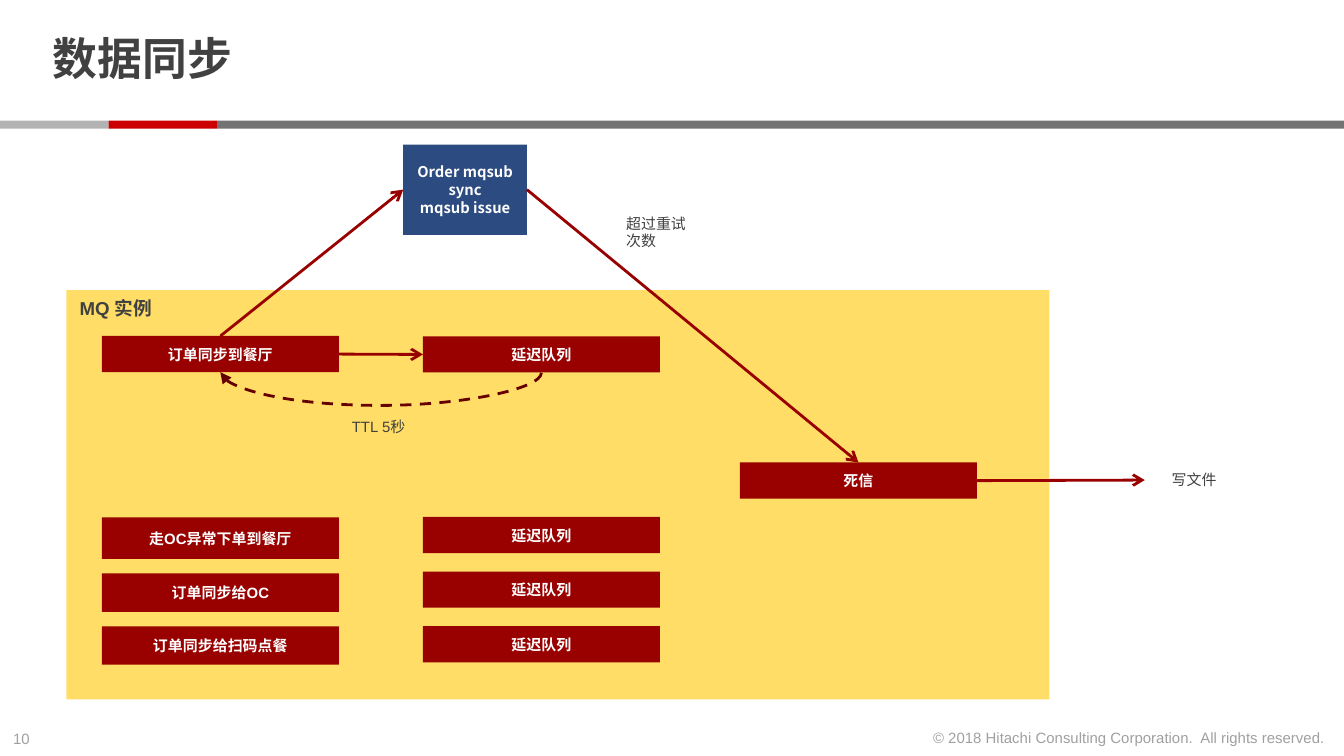
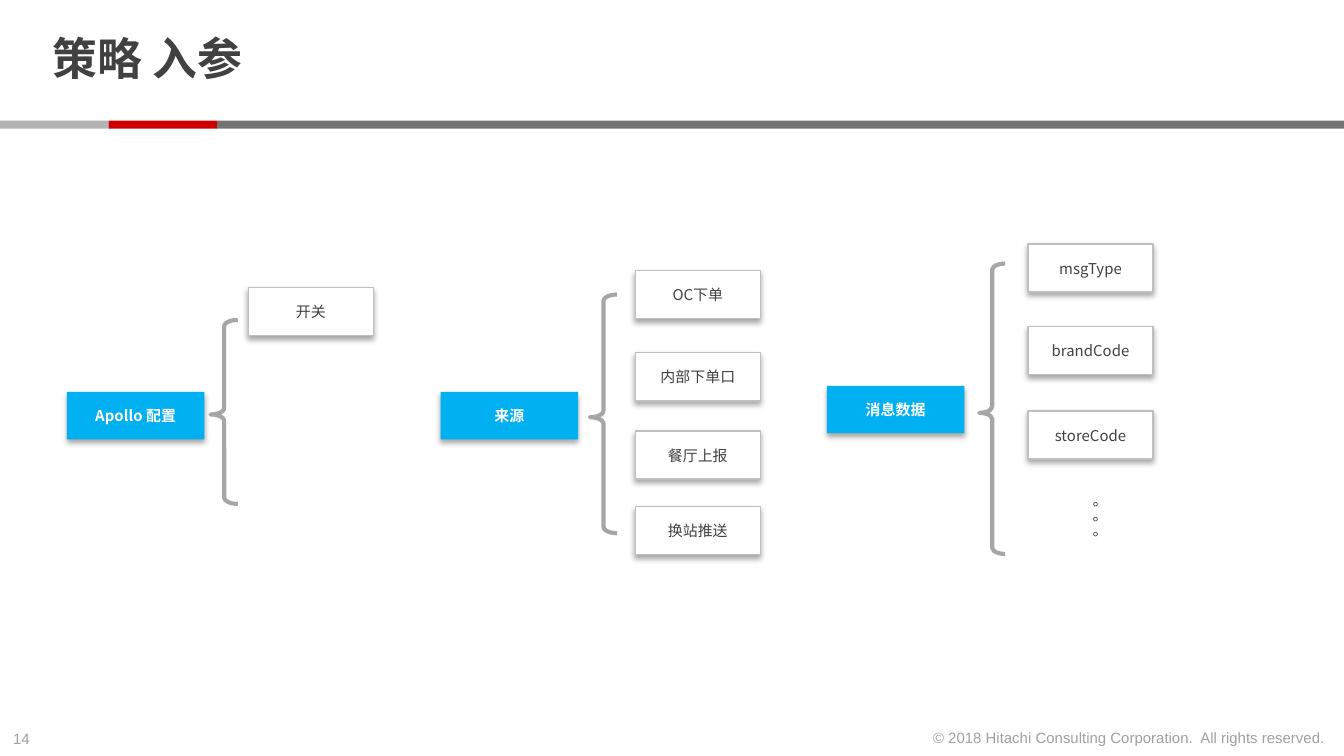
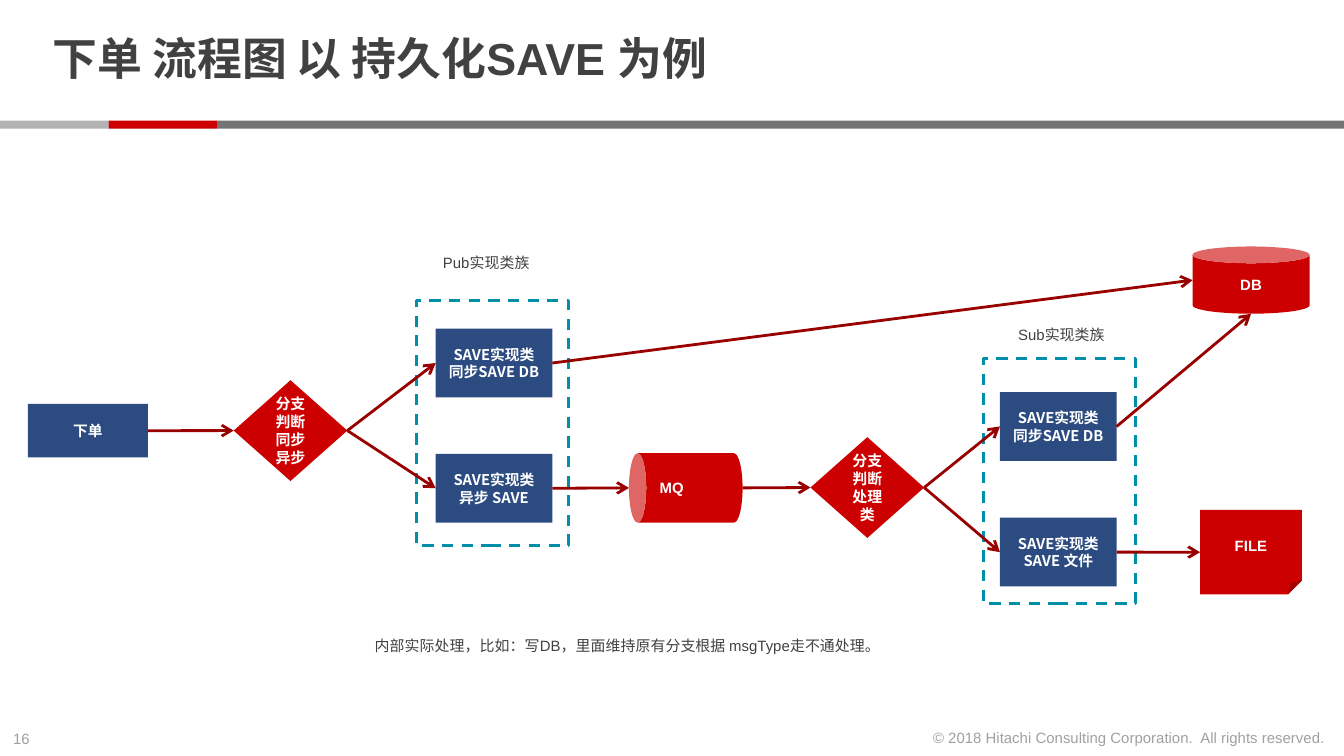
import dataclasses
import typing

import lxml.etree
import pptx
import pptx.dml.color
import pptx.enum.dml
import pptx.enum.shapes
import pptx.enum.text
import pptx.oxml.ns
import pptx.presentation
import pptx.shapes.autoshape
import pptx.shapes.connector
import pptx.slide
import pptx.text.text
import pptx.util

Pt = pptx.util.Pt
qn = pptx.oxml.ns.qn
KIND = pptx.enum.shapes.MSO_SHAPE
LINK = pptx.enum.shapes.MSO_CONNECTOR
ALIGN = pptx.enum.text.PP_ALIGN
ANCHOR = pptx.enum.text.MSO_ANCHOR
FIT = pptx.enum.text.MSO_AUTO_SIZE
DASH = pptx.enum.dml.MSO_LINE.DASH

COLORS = {
    "text": "414141",
    "faded": "A0A0A0",
    "white": "FFFFFF",
    "light gray": "B3B3B3",
    "red": "CC0000",
    "dark gray": "737373",
    "yellow": "FFDD66",
    "dark red": "990000",
    "deep red": "660000",
    "navy": "2C4B80",
    "sky": "00B0F0",
    "border": "BFBFBF",
    "brace": "A6A6A6",
    "teal": "008EAA",
}
ARIAL = "Arial"
NOTO = "Noto Sans CJK SC"
COPYRIGHT = "© 2018 Hitachi Consulting Corporation.  All rights reserved."
TOP, LEFT, BOTTOM, RIGHT = range(4)


@dataclasses.dataclass(frozen=True)
class TextStyle:
    color: str = "text"
    size: float = 8
    bold: bool = False
    font: str = ARIAL
    align: ALIGN = ALIGN.LEFT
    anchor: ANCHOR = ANCHOR.MIDDLE


@dataclasses.dataclass(frozen=True)
class BoxStyle:
    fill: str | None = None
    line: str | None = None
    weight: float = 1.5
    dashed: bool = False
    shadow: bool = False
    text: TextStyle = TextStyle()


class Frame(typing.NamedTuple):
    left: float
    top: float
    width: float
    height: float


class Point(typing.NamedTuple):
    x: float
    y: float


class Port(typing.NamedTuple):
    shape: pptx.shapes.autoshape.Shape
    side: int


class Entry(typing.NamedTuple):
    text: str
    top: float


@dataclasses.dataclass(frozen=True)
class BraceGroup:
    root: str
    corner: Point
    brace: Frame
    entry_left: float
    entries: list[Entry]


LABEL = TextStyle()
FOOTER = TextStyle("faded", anchor=ANCHOR.TOP)
COPYRIGHT_TEXT = dataclasses.replace(FOOTER, align=ALIGN.RIGHT)
TITLE = TextStyle(size=24, bold=True)
WHITE_ARIAL = TextStyle("white", bold=True, align=ALIGN.CENTER)
WHITE_NOTO = dataclasses.replace(WHITE_ARIAL, font=NOTO)

QUEUE = BoxStyle("dark red", text=WHITE_ARIAL)
SERVICE = BoxStyle("navy", text=dataclasses.replace(WHITE_NOTO, size=7.9))
NODE = BoxStyle("red", text=WHITE_ARIAL)
MQ_AREA = BoxStyle("yellow", text=TextStyle(size=10, bold=True, anchor=ANCHOR.TOP))
ROOT = BoxStyle("sky", shadow=True, text=WHITE_NOTO)
ENTRY = BoxStyle("white", "border", 0.75, shadow=True,
                 text=TextStyle(font=NOTO, align=ALIGN.CENTER))
BRACE = BoxStyle(line="brace", weight=2.25)
FAMILY = BoxStyle(line="teal", dashed=True)


def rgb(name: str) -> pptx.dml.color.RGBColor:
    return pptx.dml.color.RGBColor.from_string(COLORS[name])


def points(values: typing.Iterable[float]) -> list[pptx.util.Length]:
    return [Pt(value) for value in values]


def write(frame: pptx.text.text.TextFrame, text: str, style: TextStyle) -> None:
    frame.vertical_anchor = style.anchor
    for index, line in enumerate(text.split("\n")):
        paragraph = frame.add_paragraph() if index else frame.paragraphs[0]
        paragraph.alignment = style.align
        run = paragraph.add_run()
        run.text = line
        font = run.font
        font.name = style.font
        font.size = Pt(style.size)
        font.bold = style.bold
        font.color.rgb = rgb(style.color)
        east_asian = lxml.etree.SubElement(run.font._element, qn("a:ea"))
        east_asian.set("typeface", NOTO)


def make_vertical(frame: pptx.text.text.TextFrame) -> None:
    frame._txBody.bodyPr.set("vert", "eaVert")


def add_label(slide: pptx.slide.Slide, frame: Frame, text: str,
              style: TextStyle = LABEL, wrap: bool = True) -> pptx.text.text.TextFrame:
    body = slide.shapes.add_textbox(*points(frame)).text_frame
    body.word_wrap = wrap
    body.auto_size = FIT.SHAPE_TO_FIT_TEXT
    write(body, text, style)
    return body


def add_shadow(shape: pptx.shapes.autoshape.Shape) -> None:
    effects = shape.element.spPr.find(qn("a:effectLst"))
    shadow = lxml.etree.SubElement(effects, qn("a:outerShdw"), {
        "blurRad": str(Pt(3.1)), "dist": str(Pt(1.8)), "dir": "5400000",
        "algn": "t", "rotWithShape": "0"})
    color = lxml.etree.SubElement(shadow, qn("a:srgbClr"), {"val": "000000"})
    lxml.etree.SubElement(color, qn("a:alpha"), {"val": "35000"})


def add_box(slide: pptx.slide.Slide, frame: Frame, style: BoxStyle,
            text: str = "", kind: KIND = KIND.RECTANGLE) -> pptx.shapes.autoshape.Shape:
    shape = slide.shapes.add_shape(kind, *points(frame))
    shape.shadow.inherit = False
    if style.shadow:
        add_shadow(shape)
    if style.fill:
        shape.fill.solid()
        shape.fill.fore_color.rgb = rgb(style.fill)
    else:
        shape.fill.background()
    if style.line:
        shape.line.color.rgb = rgb(style.line)
        shape.line.width = Pt(style.weight)
        if style.dashed:
            shape.line.dash_style = DASH
    else:
        shape.line.fill.background()
    if text:
        shape.text_frame.word_wrap = True
        write(shape.text_frame, text, style.text)
    return shape


def format_connector(connector: pptx.shapes.connector.Connector, color: str,
                     head: str, dashed: bool = False) -> None:
    connector.line.color.rgb = rgb(color)
    connector.line.width = Pt(1.5)
    if dashed:
        connector.line.dash_style = DASH
    lxml.etree.SubElement(connector.get_or_add_ln(), qn("a:tailEnd"), {"type": head})
    lxml.etree.SubElement(connector.element.spPr, qn("a:effectLst"))


def add_arrow(slide: pptx.slide.Slide, start: Port | Point, end: Port | Point) -> None:
    begin = start if isinstance(start, Point) else Point(0, 0)
    finish = end if isinstance(end, Point) else Point(0, 0)
    connector = slide.shapes.add_connector(LINK.STRAIGHT, *points(begin + finish))
    if isinstance(start, Port):
        connector.begin_connect(start.shape, start.side)
    if isinstance(end, Port):
        connector.end_connect(end.shape, end.side)
    format_connector(connector, "dark red", "arrow")


def add_return_curve(slide: pptx.slide.Slide, start: Point, end: Point, sag: float) -> None:
    middle = (start.x + end.x) / 2
    half = (start.x - end.x) / 2
    thickness = 0.32
    connector = slide.shapes.add_connector(LINK.CURVE, *points(
        (middle + thickness / 2, start.y - half, middle - thickness / 2, start.y + half)))
    properties = connector.element.spPr
    properties.xfrm.set("rot", "5400000")
    guides = properties.find(qn("a:prstGeom")).get_or_add_avLst()
    lxml.etree.SubElement(guides, qn("a:gd"), {
        "name": "adj1", "fmla": f"val {round(-sag / thickness * 100000)}"})
    format_connector(connector, "deep red", "triangle", dashed=True)


def add_slide(deck: pptx.presentation.Presentation, title: str, number: int) -> pptx.slide.Slide:
    slide = deck.slides.add_slide(deck.slide_layouts[5])
    heading = slide.shapes.title
    heading.left, heading.top, heading.width, heading.height = points((21, 4.4, 555, 57.6))
    body = heading.text_frame
    body.word_wrap = True
    body.auto_size = FIT.NONE
    body.margin_left = body.margin_right = Pt(7.2)
    body.margin_top = body.margin_bottom = 0
    write(body, title, TITLE)
    body.paragraphs[0].line_spacing = 0.85

    left = 0.0
    for color, width in (("light gray", 58.2), ("red", 58.2), ("dark gray", 603.6)):
        add_box(slide, Frame(left, 64.6, width, 4.3), BoxStyle(color))
        left += width
    add_label(slide, Frame(0, 387.2, 24.5, 17.3), str(number), FOOTER, wrap=False)
    add_label(slide, Frame(489.6, 387, 227.5, 17.3), COPYRIGHT, COPYRIGHT_TEXT, wrap=False)
    return slide


def build_sync(deck: pptx.presentation.Presentation) -> None:
    slide = add_slide(deck, "数据同步", 10)
    add_box(slide, Frame(35.6, 155.4, 526.6, 219.4), MQ_AREA, "MQ 实例")

    width, height = 127, 19.4
    order_left, delay_left = 54.6, 226.6
    order = add_box(slide, Frame(order_left, 180, width, height), QUEUE, "订单同步到餐厅")
    delay = add_box(slide, Frame(delay_left, 180.2, width, height), QUEUE, "延迟队列")
    dead = add_box(slide, Frame(396.4, 247.8, width, height), QUEUE, "死信")
    others = (("走OC异常下单到餐厅", 277.2, 22.2),
              ("订单同步给OC", 307.2, 20.6),
              ("订单同步给扫码点餐", 335.5, 20.6))
    for row, (text, top, tall) in enumerate(others):
        add_box(slide, Frame(order_left, top, width, tall), QUEUE, text)
        add_box(slide, Frame(delay_left, 277 + 29.25 * row, width, height), QUEUE, "延迟队列")

    subscriber = add_box(slide, Frame(216, 77.4, 66.3, 48.4), SERVICE,
                         "Order mqsub sync\nmqsub issue")
    add_arrow(slide, Port(order, TOP), Port(subscriber, LEFT))
    add_arrow(slide, Port(order, RIGHT), Port(delay, LEFT))
    add_arrow(slide, Port(subscriber, RIGHT), Port(dead, TOP))
    add_arrow(slide, Port(dead, RIGHT), Point(613.3, 257.2))
    add_return_curve(slide, Point(delay_left + width / 2, 199.5),
                     Point(order_left + width / 2, 199.5), 18)

    add_label(slide, Frame(181.4, 220, 51.1, 17.3), "TTL 5秒")
    add_label(slide, Frame(328.3, 111, 51.1, 26.6), "超过重试次数")
    add_label(slide, Frame(620.6, 248.4, 43.9, 17.3), "写文件")


def build_parameters(deck: pptx.presentation.Presentation) -> None:
    slide = add_slide(deck, "策略 入参", 14)
    groups = [
        BraceGroup("Apollo 配置", Point(35.9, 210), Frame(112.8, 171.4, 14.6, 98.6), 133,
                   [Entry("开关", 154)]),
        BraceGroup("来源", Point(236.1, 210), Frame(316, 157.8, 14.6, 127.9), 340.3,
                   [Entry("OC下单", 144.8), Entry("内部下单口", 189),
                    Entry("餐厅上报", 230.9), Entry("换站推送", 271.3)]),
        BraceGroup("消息数据", Point(443, 206.7), Frame(524.6, 141.2, 13.9, 155.6), 550.7,
                   [Entry("msgType", 130.8), Entry("brandCode", 175),
                    Entry("storeCode", 220.2)]),
    ]
    for group in groups:
        add_box(slide, Frame(*group.corner, 73.7, 25.4), ROOT, group.root)
        brace = add_box(slide, group.brace, BRACE, kind=KIND.LEFT_BRACE)
        brace.adjustments[0] = 0.237
        brace.adjustments[1] = 0.514
        for entry in group.entries:
            add_box(slide, Frame(group.entry_left, entry.top, 67.1, 25.8), ENTRY, entry.text)
    make_vertical(add_label(slide, Frame(568.1, 261.4, 24.5, 42.5), "。。。",
                            TextStyle(anchor=ANCHOR.TOP)))


def build_save_flow(deck: pptx.presentation.Presentation) -> None:
    slide = add_slide(deck, "下单 流程图 以 持久化SAVE 为例", 16)
    for left, top in ((223.2, 161), (526.9, 192.1)):
        add_box(slide, Frame(left, top, 81.4, 131.2), FAMILY)

    def service(left: float, top: float, text: str) -> pptx.shapes.autoshape.Shape:
        return add_box(slide, Frame(left, top, 62.5, 36.8), SERVICE, "SAVE实现类\n" + text)

    def decision(left: float, top: float, text: str) -> pptx.shapes.autoshape.Shape:
        return add_box(slide, Frame(left, top, 60.9, 54), NODE, text, KIND.DIAMOND)

    order = add_box(slide, Frame(14.9, 216.4, 64.4, 28.7), SERVICE, "下单")
    mode = decision(125.2, 203.7, "分支判断同步异步")
    handler = decision(434.2, 234.2, "分支判断处理类")
    pub_sync = service(233.4, 176.1, "同步SAVE DB")
    pub_async = service(233.4, 243.2, "异步 SAVE")
    sub_sync = service(535.7, 210.1, "同步SAVE DB")
    sub_file = service(535.7, 277.4, "SAVE 文件")

    db_frame = Frame(638.9, 132.1, 62.7, 36)
    add_box(slide, db_frame, NODE, "DB", KIND.CAN)
    mq_center, mq_length, mq_depth = Point(367.4, 261.4), 60.9, 37.2
    mq = add_box(slide, Frame(mq_center.x - mq_depth / 2, mq_center.y - mq_length / 2,
                              mq_depth, mq_length), NODE, "MQ", KIND.CAN)
    mq.rotation = 270
    make_vertical(mq.text_frame)
    file = add_box(slide, Frame(642.9, 273.2, 54.6, 45.3), NODE, "FILE", KIND.FOLDED_CORNER)

    routes = [
        (Port(order, RIGHT), Port(mode, LEFT)),
        (Port(mode, RIGHT), Port(pub_sync, LEFT)),
        (Port(mode, RIGHT), Port(pub_async, LEFT)),
        (Port(pub_async, RIGHT), Point(mq_center.x - mq_length / 2, mq_center.y)),
        (Point(mq_center.x + mq_length / 2, mq_center.y), Port(handler, LEFT)),
        (Port(handler, RIGHT), Port(sub_sync, LEFT)),
        (Port(handler, RIGHT), Port(sub_file, LEFT)),
        (Port(pub_sync, RIGHT), Point(db_frame.left, db_frame.top + db_frame.height / 2)),
        (Port(sub_sync, RIGHT),
         Point(db_frame.left + db_frame.width / 2, db_frame.top + db_frame.height)),
        (Port(sub_file, RIGHT), Port(file, LEFT)),
    ]
    for start, end in routes:
        add_arrow(slide, start, end)

    add_label(slide, Frame(230.2, 132, 72.7, 17.3), "Pub实现类族")
    add_label(slide, Frame(538.3, 170.4, 72.7, 17.3), "Sub实现类族")
    add_label(slide, Frame(193.7, 337.4, 333.4, 17.3),
              "内部实际处理，比如：写DB，里面维持原有分支根据 msgType走不通处理。")


def main() -> None:
    deck = pptx.Presentation()
    deck.slide_width, deck.slide_height = Pt(720), Pt(405)
    build_sync(deck)
    build_parameters(deck)
    build_save_flow(deck)
    deck.save("out.pptx")


if __name__ == "__main__":
    main()
